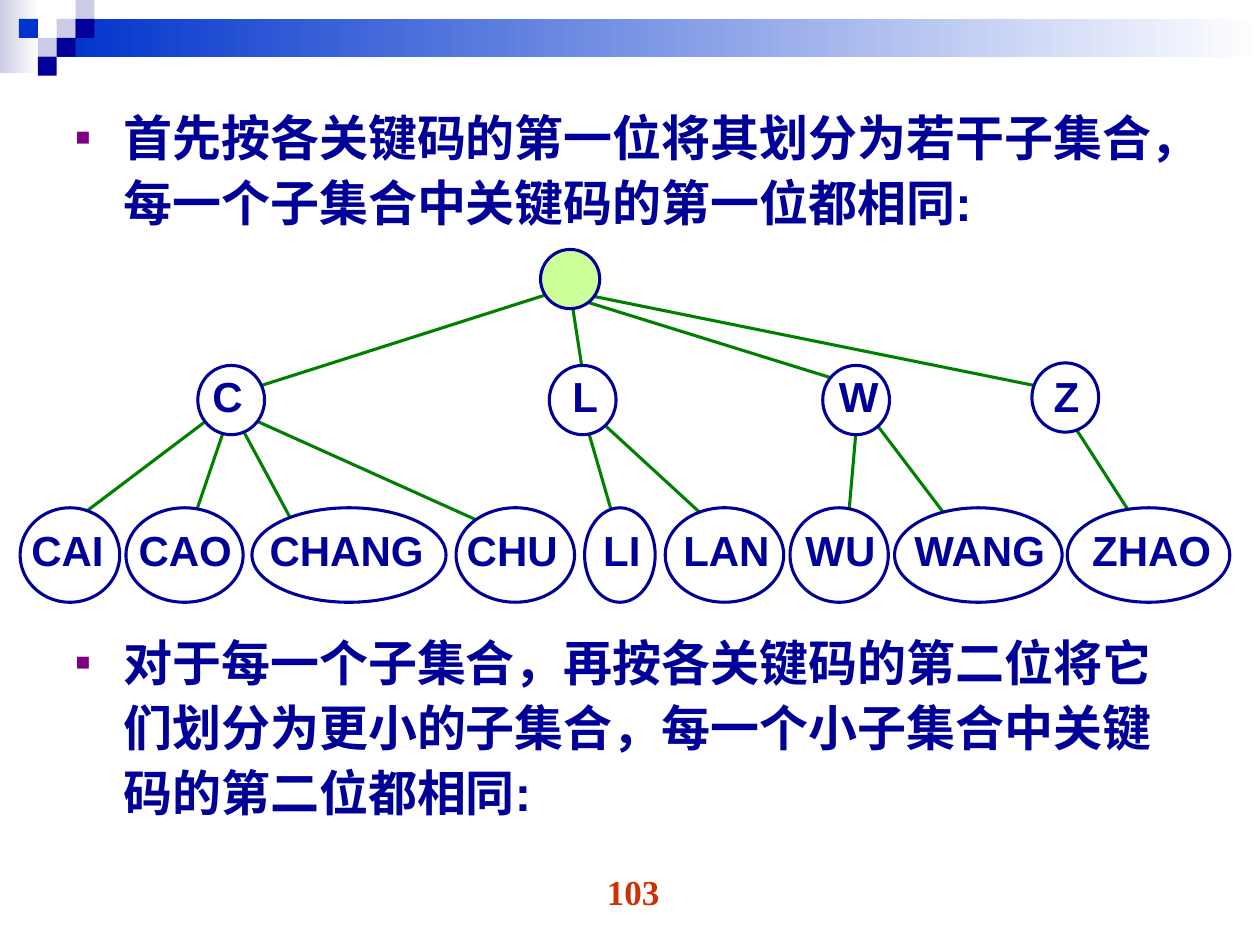
from lxml import etree
from pptx import Presentation
from pptx.dml.color import RGBColor
from pptx.enum.shapes import MSO_CONNECTOR, MSO_SHAPE
from pptx.enum.text import MSO_ANCHOR, MSO_AUTO_SIZE, PP_ALIGN
from pptx.oxml.ns import qn
from pptx.util import Inches, Pt

RECTANGLE, ELLIPSE = MSO_SHAPE.RECTANGLE, MSO_SHAPE.OVAL
STRAIGHT = MSO_CONNECTOR.STRAIGHT
CENTER, TOP, NO_FIT = PP_ALIGN.CENTER, MSO_ANCHOR.TOP, MSO_AUTO_SIZE.NONE

NAVY, BLUE, LAVENDER, WHITE = "000099", "0033CC", "CCCCE6", "FFFFFF"
GREEN, LIME, PURPLE, RED = "008000", "CCFF99", "800080", "CC3300"

deck = Presentation()
deck.slide_width, deck.slide_height = Inches(10), Inches(7.5)
CELL = deck.slide_width / 100


def cells(*counts):
    return [round(count * CELL) for count in counts]


def color(target, hex_value):
    target.rgb = RGBColor.from_string(hex_value)


slide = deck.slides.add_slide(deck.slide_layouts[1])
shapes = slide.shapes
title = shapes.title.element
title.getparent().remove(title)

for left, top, width, height, start in [
    (0, 0, 3.1, 5.8, LAVENDER),
    (4.5, 1.5, 95.5, 3, BLUE),
]:
    band = shapes.add_shape(RECTANGLE, *cells(left, top, width, height))
    band.shadow.inherit = False
    band.line.fill.background()
    band.fill.gradient()
    band.fill.gradient_angle = 0
    for stop, shade in zip(band.fill.gradient_stops, (start, WHITE)):
        color(stop.color, shade)

TILE = 1.5
for column, row, shade in [
    (3, 1, LAVENDER), (4, 0, LAVENDER), (4, 1, NAVY), (2, 2, LAVENDER),
    (1, 1, BLUE), (3, 2, NAVY), (2, 3, NAVY),
]:
    tile = shapes.add_shape(RECTANGLE, *cells(column * TILE, row * TILE, TILE, TILE))
    tile.shadow.inherit = False
    tile.line.fill.background()
    tile.fill.solid()
    color(tile.fill.fore_color, shade)

steps = slide.placeholders[1]
steps.left, steps.top, steps.width, steps.height = cells(5, 7.6, 90, 61.8)
step_frame = steps.text_frame
step_frame.auto_size, step_frame.vertical_anchor = NO_FIT, TOP
step_texts = [
    "首先按各关键码的第一位将其划分为若干子集合，每一个子集合中关键码的第一位都相同:",
    "对于每一个子集合，再按各关键码的第二位将它们划分为更小的子集合，每一个小子集合中关键码的第二位都相同:",
]
step_frame.text = "\n".join(step_texts)
hanging = cells(3.8)[0]
step_font = {"size": Pt(28), "name": "Arial", "bold": True}
for step, gap in zip(step_frame.paragraphs, (0, 226)):
    step.line_spacing, step.space_before, step.space_after = 1.1, Pt(gap), Pt(0)
    properties = step._p.get_or_add_pPr()
    properties.set("marL", str(hanging))
    properties.set("indent", str(-hanging))
    bullet_color = etree.SubElement(properties, qn("a:buClr"))
    etree.SubElement(bullet_color, qn("a:srgbClr"), val=PURPLE)
    etree.SubElement(properties, qn("a:buSzPct"), val="50000")
    etree.SubElement(properties, qn("a:buFont"), typeface="Arial")
    etree.SubElement(properties, qn("a:buChar"), char="■")
    font = step.runs[0].font
    for attribute, value in step_font.items():
        setattr(font, attribute, value)
    color(font.color, NAVY)

branches = [
    (20.1, 30.8, 44.9, 22.9), (45.3, 23.4, 46.5, 31.2),
    (45.7, 23.7, 67.3, 30.4), (46.5, 23.4, 83.1, 30.8),
    (15.3, 41.4, 18.5, 32), (6.3, 41, 17.7, 32.4),
    (17.7, 31.2, 23.2, 41.4), (18.1, 32.4, 39, 41.8),
    (45.7, 30.8, 48.8, 41.5), (46.1, 32, 55.9, 41),
    (68.1, 32.4, 67.3, 41.5), (68.9, 32.8, 75.2, 41.1),
    (84.6, 32.8, 90.2, 41.5),
]
for ends in branches:
    branch = shapes.add_connector(STRAIGHT, *cells(*ends))
    branch.line.width = Pt(1.75)
    color(branch.line.color, GREEN)
    etree.SubElement(branch._element.spPr, qn("a:effectLst"))

leaves = [
    ("CAI", 1.6, 7.9, 0.8, 9.1), ("CAO", 10, 9.3, 9, 11.4),
    ("CHANG", 20, 15.4, 18.4, 18.2), ("CHU", 36.2, 9.4, 34.9, 11.5),
    ("LI", 46.4, 5.6, 44.8, 9.1), ("LAN", 52.8, 9.4, 51.9, 11.5),
    ("WU", 62.7, 7.8, 61.4, 10.6), ("WANG", 71, 13.3, 69.7, 16.1),
    ("ZHAO", 84.7, 12.9, 84.3, 14.2),
]
initials = [
    ("C", 15.7, 29, 14.5), ("L", 43.6, 29, 42.9),
    ("W", 65.3, 29, 64.6), ("Z", 81.9, 28.8, 81.1),
]
nodes = [(left, 40.3, width, 7.5, WHITE) for _, left, width, _, _ in leaves]
nodes += [(42.9, 19.8, 4.7, 4.7, LIME)]
nodes += [(left, top, 5.3, 5.5, WHITE) for _, left, top, _ in initials]
for left, top, width, height, shade in nodes:
    node = shapes.add_shape(ELLIPSE, *cells(left, top, width, height))
    node.shadow.inherit = False
    node.fill.solid()
    color(node.fill.fore_color, shade)
    node.line.width = Pt(1.75)
    color(node.line.color, NAVY)

key_font = {"size": Pt(24), "name": "Arial", "bold": True}
page_font = {"size": Pt(20), "name": "Times New Roman", "bold": True}
captions = [(key, left, 41.1, width, 5, key_font, NAVY) for key, _, _, left, width in leaves]
captions += [(key, left, 28.9, 7.1, 5, key_font, NAVY) for key, _, _, left in initials]
captions += [("103", 38.6, 68.6, 23.3, 5.2, page_font, RED)]
for text, left, top, width, height, formats, shade in captions:
    frame = shapes.add_textbox(*cells(left, top, width, height)).text_frame
    frame.word_wrap = True
    frame.text = text
    caption = frame.paragraphs[0]
    caption.alignment = CENTER
    for attribute, value in formats.items():
        setattr(caption.runs[0].font, attribute, value)
    color(caption.runs[0].font.color, shade)

deck.save("out.pptx")
